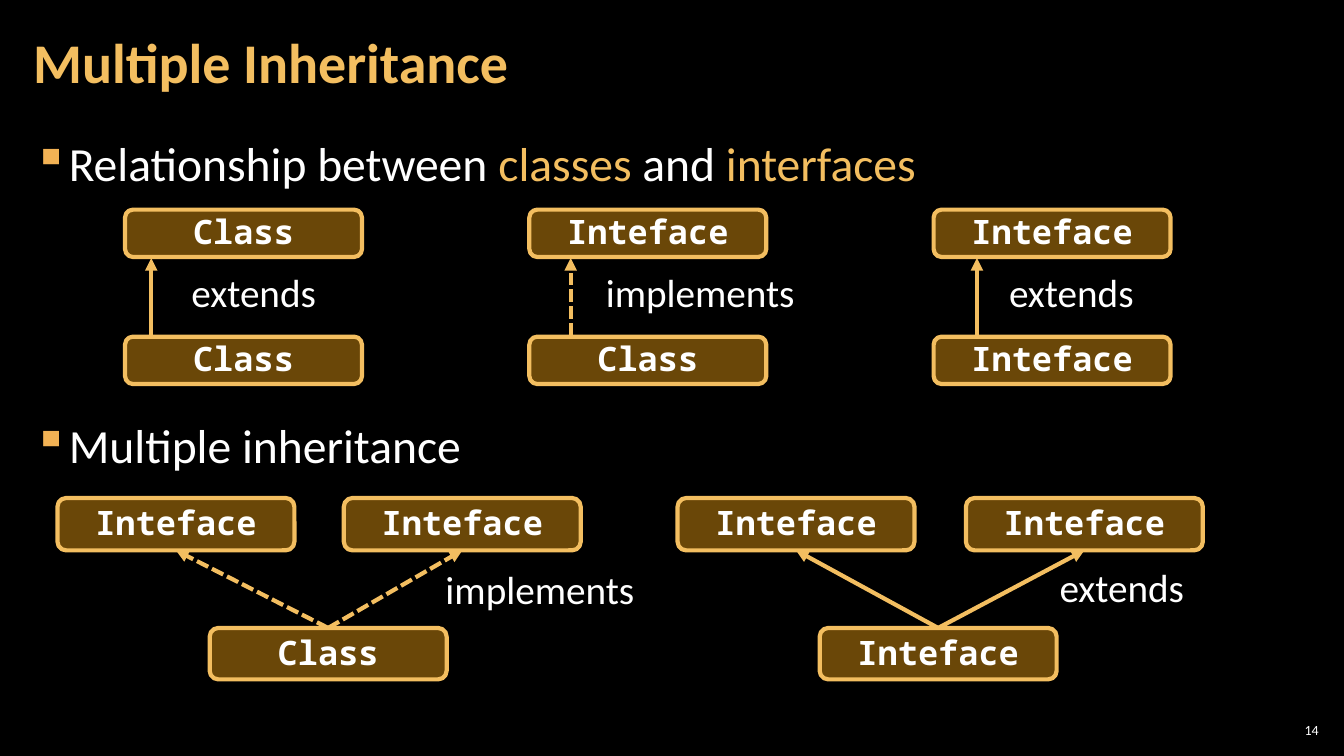
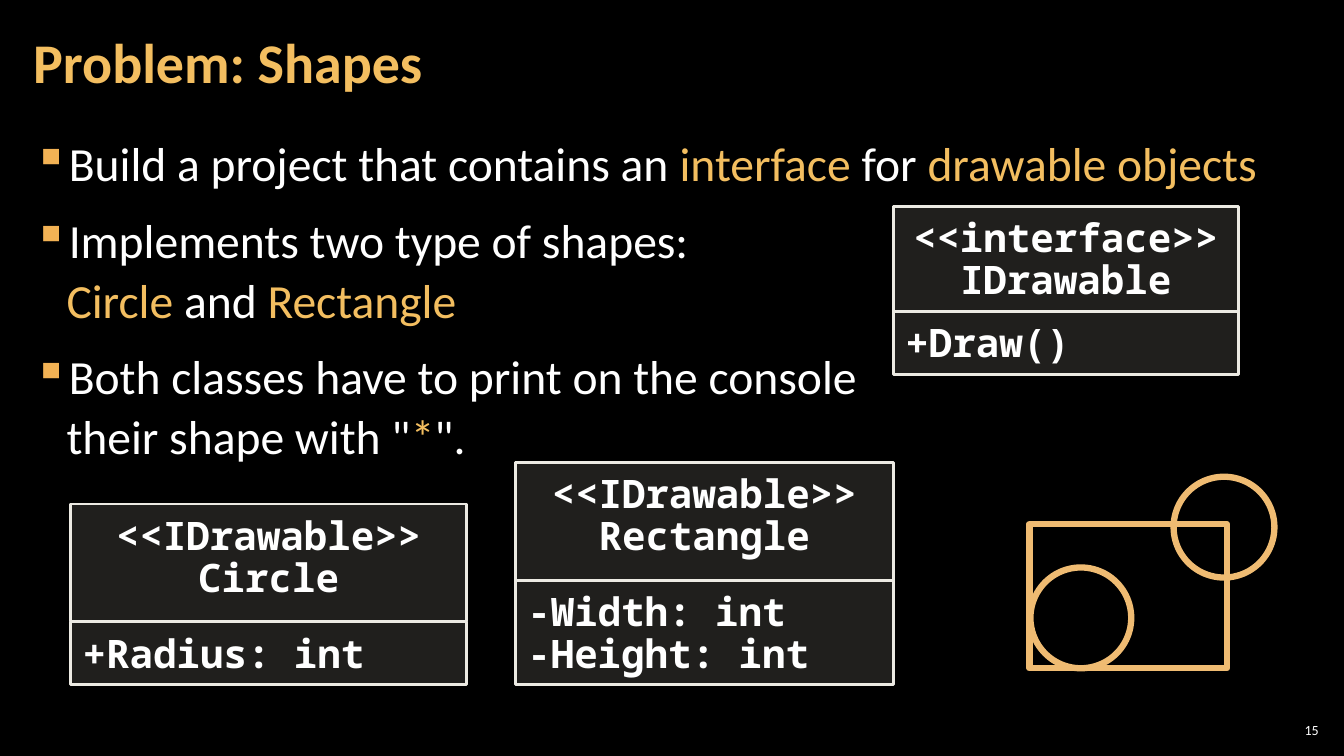
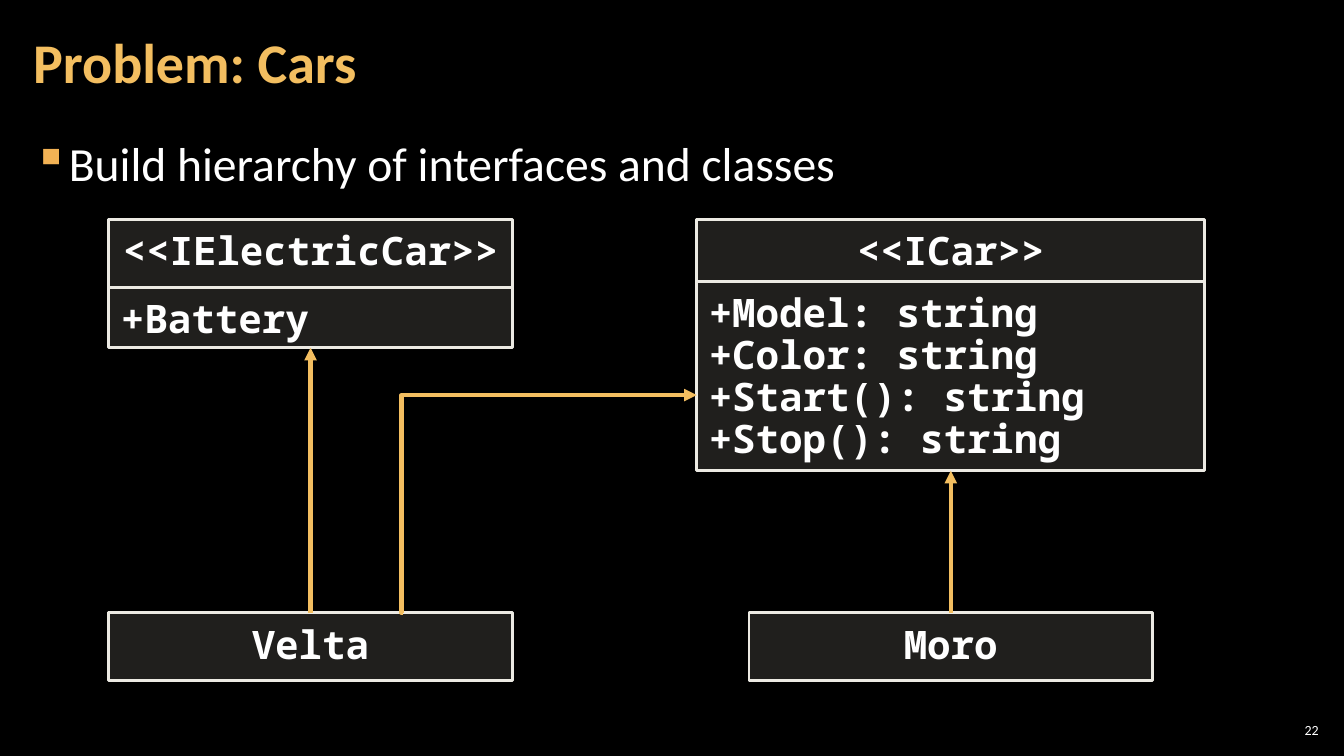
"""Build three slides on interfaces and multiple inheritance."""
from dataclasses import dataclass

from lxml import etree
from pptx import Presentation, util as u
from pptx.dml.color import RGBColor
from pptx.enum import dml, shapes, text
from pptx.oxml import ns

KIND = shapes.MSO_SHAPE
LINK = shapes.MSO_CONNECTOR
ALIGN = text.PP_ALIGN
MID = text.MSO_ANCHOR.MIDDLE
TOP = text.MSO_ANCHOR.TOP


@dataclass(frozen=True)
class Theme:
    """Hold the colours, fonts and sizes."""
    back: str = "000000"
    ink: str = "FFFFFF"
    gold: str = "F3BE60"
    mark: str = "F2B254"
    amber: str = "EC9E12"
    sand: str = "D9D5C7"
    pale: str = "ECEAE3"
    sketch: str = "EFBB72"
    sans: str = "Calibri"
    mono: str = "Noto Sans Mono"
    title: int = 40
    body: int = 34
    label: int = 28
    node: int = 24
    page: int = 10


def put(item, form):
    """Set each value of a format dict on an item."""
    for key, val in form.items():
        setattr(item, key, val)


def pad(side, end):
    """Give the margins of a text frame."""
    wide, high = u.Inches(side), u.Inches(end)
    return {"margin_left": wide, "margin_right": wide,
            "margin_top": high, "margin_bottom": high}


def sub(node, tag, **attrs):
    """Add a drawing element to an XML node."""
    return etree.SubElement(node, ns.qn("a:" + tag), attrs)


class Deck:
    """Draw the elements of the deck on the current slide."""

    def __init__(self, theme):
        """Start an empty deck."""
        self.t = theme
        self.prs = Presentation()
        put(self.prs, {"slide_width": u.Inches(13.33), "slide_height": u.Inches(7.5)})
        self.paint(self.prs.slide_master.background.fill, theme.back)

    def paint(self, fill, hue):
        """Fill with a colour."""
        fill.solid()
        fill.fore_color.rgb = RGBColor.from_string(hue)

    def fit(self, frame, lines, face, para, form, dot=False):
        """Set paragraphs in a frame, with parts between bars in gold."""
        put(frame, form)
        for row, line in enumerate(lines):
            par = frame.add_paragraph() if row else frame.paragraphs[0]
            if dot:
                props = par._p.get_or_add_pPr()
                hang = u.Inches(0.33)
                props.set("marL", str(hang))
                props.set("indent", str(-hang))
                sub(sub(props, "buClr"), "srgbClr", val=self.t.mark)
                sub(props, "buChar", char="▪")
            put(par, para)
            if dot and row:
                par.space_before = u.Pt(6)
            for odd, piece in enumerate(line.split("|")):
                hue = self.t.gold if odd % 2 else self.t.ink
                for turn, words in enumerate(piece.split("\n")):
                    if turn:
                        par.add_line_break()
                    if words:
                        run = par.add_run()
                        run.text = words
                        put(run.font, face)
                        run.font.color.rgb = RGBColor.from_string(hue)

    def face(self, size, name=None, bold=False):
        """Give the font values of a text style."""
        return {"size": u.Pt(size), "name": name or self.t.sans, "bold": bold}

    def area(self, x, y, w, h):
        """Add a text box and return its frame."""
        return self.page.shapes.add_textbox(*map(u.Inches, (x, y, w, h))).text_frame

    def start(self, title, num):
        """Add a slide with its title and number."""
        self.page = self.prs.slides.add_slide(self.prs.slide_layouts[6])
        self.fit(self.area(0.21, 0.04, 10.47, 1.21), [f"|{title}|"],
                 self.face(self.t.title, bold=True), {"line_spacing": 0.9},
                 {"word_wrap": True, "vertical_anchor": MID, **pad(0.12, 0.04)})
        self.fit(self.area(12.65, 7.14, 0.47, 0.21), [str(num)],
                 self.face(self.t.page), {"alignment": ALIGN.RIGHT},
                 {"word_wrap": True, "vertical_anchor": MID, **pad(0.04, 0.04)})

    def points(self, lines, y=1.26, h=0.75):
        """Add a bulleted list."""
        self.fit(self.area(0.21, y, 12.91, h), lines, self.face(self.t.body),
                 {"line_spacing": 1.05, "space_after": u.Pt(6)},
                 {"word_wrap": True, **pad(0.12, 0.04)}, dot=True)

    def label(self, words, x, y):
        """Add a caption beside an arrow."""
        wide = 2.09 if words == "implements" else 1.45
        self.fit(self.area(x, y, wide, 0.57), [words], self.face(self.t.label), {},
                 {"word_wrap": False, "auto_size": text.MSO_AUTO_SIZE.SHAPE_TO_FIT_TEXT})

    def shape(self, kind, x, y, w, h, line, width, fill=None, alpha=100):
        """Add an outlined shape, with a see-through fill if one is given."""
        item = self.page.shapes.add_shape(kind, *map(u.Inches, (x, y, w, h)))
        item.shadow.inherit = False
        if fill:
            self.paint(item.fill, fill)
            tint = item._element.spPr.find(ns.qn("a:solidFill"))[0]
            sub(tint, "alpha", val=str(alpha * 1000))
        else:
            item.fill.background()
        self.paint(item.line.fill, line)
        item.line.width = u.Pt(width)
        return item

    def node(self, words, x, y, h):
        """Add a rounded type box."""
        item = self.shape(KIND.ROUNDED_RECTANGLE, x, y, 2.35, h,
                          self.t.gold, 3, self.t.amber, 45)
        self.fit(item.text_frame, [words], self.face(self.t.node, self.t.mono, True),
                 {"alignment": ALIGN.CENTER, "line_spacing": 0.95},
                 {"word_wrap": False, "vertical_anchor": MID})
        return item

    def card(self, x, y, w, *parts):
        """Stack the parts of a class diagram, the first one centred."""
        items = []
        for h, *lines in parts:
            item = self.shape(KIND.RECTANGLE, x, y, w, h, self.t.pale, 2, self.t.sand, 15)
            side = ALIGN.LEFT if items else ALIGN.CENTER
            self.fit(item.text_frame, lines, self.face(self.t.label, self.t.mono, True),
                     {"alignment": side, "line_spacing": u.Pt(30)},
                     {"word_wrap": True, "vertical_anchor": TOP, **pad(0.12, 0.12)})
            items.append(item)
            y += h
        return items

    def arrow(self, ends=(0, 0, 0, 0), dash=False, kind=LINK.STRAIGHT):
        """Add an arrow between two points."""
        item = self.page.shapes.add_connector(kind, *map(u.Inches, ends))
        self.paint(item.line.fill, self.t.gold)
        item.line.width = u.Pt(3)
        if dash:
            item.line.dash_style = dml.MSO_LINE.SQUARE_DOT
        props = item._element.spPr
        sub(props.find(ns.qn("a:ln")), "tailEnd", type="triangle")
        sub(props, "effectLst")
        return item

    def tie(self, low, high, dash=False):
        """Point an arrow from the top of one box to the bottom of another."""
        item = self.arrow(dash=dash)
        item.begin_connect(low, 0)
        item.end_connect(high, 2)

    def bend(self, ends, turn):
        """Add an elbow arrow with its turn in thousandths of the width."""
        item = self.arrow(ends, kind=LINK.ELBOW)
        geom = item._element.spPr.find(ns.qn("a:prstGeom"))
        guides = geom.find(ns.qn("a:avLst"))
        if guides is None:
            guides = sub(geom, "avLst")
        sub(guides, "gd", name="adj1", fmla=f"val {turn * 100}")


def inherit(deck):
    """Draw the slide on multiple inheritance."""
    deck.start("Multiple Inheritance", 14)
    deck.points(["Relationship between |classes| and |interfaces|"])
    deck.points(["Multiple inheritance"], 4.06)
    pairs = [("Class", "Class", "extends", 1.5, 1.8),
             ("Inteface", "Class", "implements", 5.66, 5.91),
             ("Inteface", "Inteface", "extends", 9.69, 9.91)]
    for col, (high, low, verb, stem, side) in enumerate(pairs):
        x = 1.24 + 4.01 * col
        deck.node(high, x, 2.08, 0.47)
        deck.node(low, x, 3.34, 0.47)
        deck.arrow((stem, 3.33, stem, 2.56), verb == "implements")
        deck.label(verb, side, 2.61)
    trees = [("Class", 2.08, (0.57, 3.41), "implements", 4.32, 5.56),
             ("Inteface", 8.13, (6.72, 9.58), "extends", 10.41, 5.54)]
    for name, x, tops, verb, side, y in trees:
        low = deck.node(name, x, 6.23, 0.51)
        for left in tops:
            high = deck.node("Inteface", left, 4.94, 0.52)
            deck.tie(low, high, verb == "implements")
        deck.label(verb, side, y)


def drawing(deck):
    """Draw the slide on the shapes problem."""
    deck.start("Problem: Shapes", 15)
    deck.points(["Build a project that contains an |interface| for |drawable objects|",
                 "Implements two type of shapes:\n|Circle| and |Rectangle|",
                 "Both classes have to print on the console\ntheir shape with \"|*|\"."],
                h=6.09)
    deck.card(0.7, 5, 3.93, (1.17, "<<IDrawable>>", "Circle"), (0.62, "+Radius: int"))
    deck.card(5.11, 4.59, 3.75, (1.17, "<<IDrawable>>", "Rectangle"),
              (1.03, "-Width: int", "-Height: int"))
    deck.card(8.86, 2.05, 3.42, (1.04, "<<interface>>", "IDrawable"), (0.63, "+Draw()"))
    for kind, *place in [(KIND.RECTANGLE, 10.21, 5.2, 1.96, 1.43),
                         (KIND.OVAL, 11.64, 4.73, 1, 1), (KIND.OVAL, 10.22, 5.63, 1, 1)]:
        deck.shape(kind, *place, deck.t.sketch, 4.5)


def cars(deck):
    """Draw the slide on the cars problem."""
    deck.start("Problem: Cars", 22)
    deck.points(["Build hierarchy of interfaces and classes"])
    power = deck.card(1.08, 2.18, 4, (0.67, "<<IElectricCar>>"), (0.6, "+Battery"))
    car = deck.card(6.91, 2.18, 5.04, (0.61, "<<ICar>>"),
                    (1.88, "+Model: string", "+Color: string",
                     "+Start(): string", "+Stop(): string"))
    petrol = deck.card(7.43, 6.08, 4, (0.67, "Moro"))
    volt = deck.card(1.08, 6.08, 4, (0.67, "Velta"))
    deck.tie(volt[0], power[-1])
    deck.bend((4, 6.08, 6.91, 3.92), -6)
    deck.tie(petrol[0], car[-1])


def main():
    """Build and save the deck."""
    deck = Deck(Theme())
    for draw in (inherit, drawing, cars):
        draw(deck)
    deck.prs.save("out.pptx")


if __name__ == "__main__":
    main()
